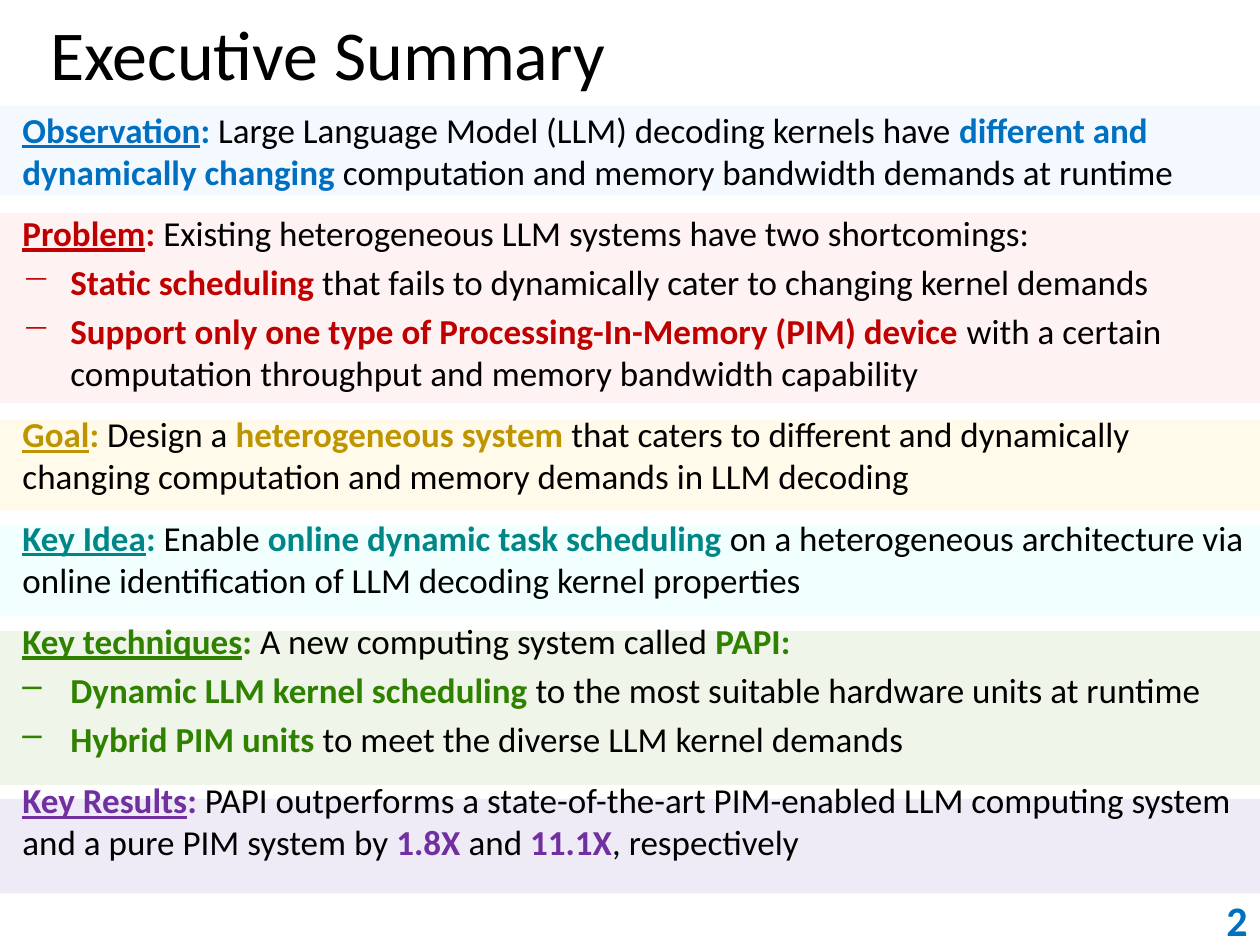
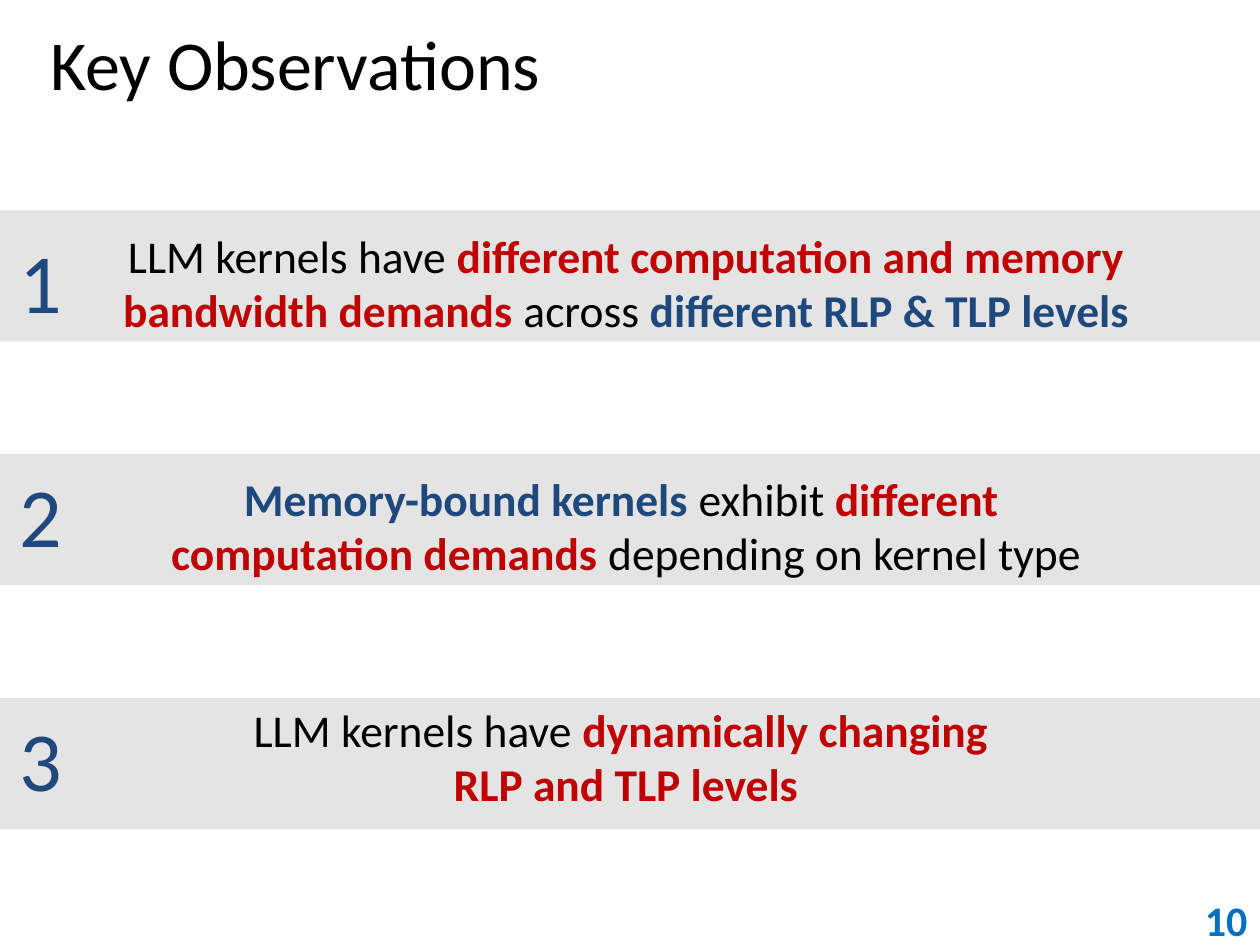
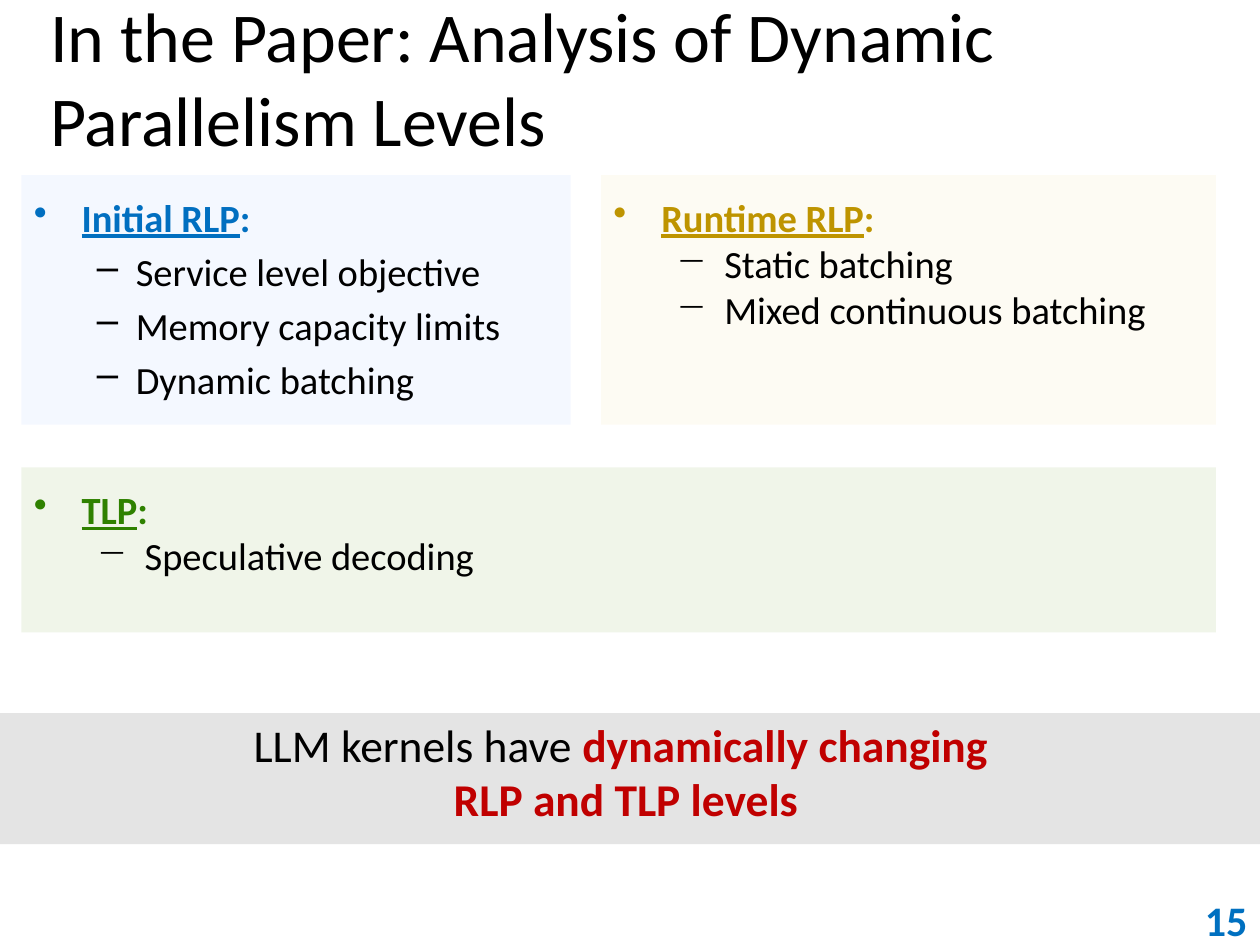
from dataclasses import dataclass
from typing import NamedTuple

from lxml.etree import SubElement
from pptx import Presentation
from pptx.dml.color import RGBColor
from pptx.enum.shapes import MSO_SHAPE as SHAPE
from pptx.enum.text import MSO_ANCHOR as ANCHOR, MSO_AUTO_SIZE as AUTO, PP_ALIGN as ALIGN
from pptx.oxml.ns import qn
from pptx.util import Inches, Pt

W, H = Inches(10), Inches(7.5)
COLS, ROWS = 100, 75
FONT = "Calibri"

BLACK = RGBColor(0x00, 0x00, 0x00)
BLUE = RGBColor(0x01, 0x6F, 0xC0)
PAGE_BLUE = RGBColor(0x00, 0x70, 0xC0)
NAVY = RGBColor(0x1F, 0x49, 0x7D)
RED = RGBColor(0xC0, 0x00, 0x00)
GOLD = RGBColor(0xBE, 0x94, 0x00)
TEAL = RGBColor(0x00, 0x86, 0x86)
GREEN = RGBColor(0x2F, 0x81, 0x00)
PURPLE = RGBColor(0x70, 0x30, 0xA0)
GREY_BAND = RGBColor(0xE4, 0xE4, 0xE4)
BLUE_TINT = RGBColor(0xCC, 0xDF, 0xFF)
RED_TINT = RGBColor(0xFF, 0xBF, 0xBF)
GOLD_TINT = RGBColor(0xFF, 0xE9, 0x98)
CREAM_TINT = RGBColor(0xF9, 0xED, 0xC7)
TEAL_TINT = RGBColor(0xBD, 0xFF, 0xFF)
GREEN_TINT = RGBColor(0xB8, 0xCF, 0x92)
PURPLE_TINT = RGBColor(0xAF, 0x9C, 0xD3)


class Box(NamedTuple):
    col: float
    row: float
    cols: float
    rows: float

    def emu(self) -> tuple:
        return (int(W * self.col / COLS), int(H * self.row / ROWS),
                int(W * self.cols / COLS), int(H * self.rows / ROWS))


class Run(NamedTuple):
    text: str
    color: RGBColor = BLACK
    bold: bool = False
    underline: bool = False


@dataclass
class Para:
    runs: list
    before: float = 0
    bullet: str = ""
    margin: float = 0
    hang: float = 0
    level: int = 0


class Band(NamedTuple):
    row: float
    rows: float
    tint: RGBColor


class Card(NamedTuple):
    box: Box
    tint: RGBColor
    color: RGBColor
    heading: str
    items: list
    bullet: str = "−"
    before: float = 0
    margin: float = 0.88
    hang: float = 0.38


class Statement(NamedTuple):
    text_shift: float
    number_shift: float
    paras: list


def key(text: str, color: RGBColor) -> Run:
    return Run(text, color, bold=True)


def heading(label: str, color: RGBColor, tail: str = ": ") -> list:
    return [Run(label, color, True, True), key(tail, color)]


def section(label: str, color: RGBColor, *runs: Run, before: float = 11) -> Para:
    return Para(heading(label, color) + list(runs), before)


def dash(bullet: str, *runs: Run) -> Para:
    return Para(list(runs), 4, bullet, 0.38, 0.38)


def fill_text(sp, paras: list, size: float, align=ALIGN.LEFT, anchor=ANCHOR.TOP,
              left: float = 0.1, right: float = 0.1) -> None:
    tf = sp.text_frame
    tf.word_wrap, tf.auto_size, tf.vertical_anchor = True, AUTO.NONE, anchor
    tf.margin_left, tf.margin_right = Inches(left), Inches(right)
    tf.margin_top = tf.margin_bottom = Inches(0.05)
    for i, para in enumerate(paras):
        p = tf.add_paragraph() if i else tf.paragraphs[0]
        p.alignment, p.level = align, para.level
        p.space_before = Pt(para.before if i else 0)
        if para.bullet:
            pPr = p._p.get_or_add_pPr()
            pPr.set("marL", str(Inches(para.margin)))
            pPr.set("indent", str(-Inches(para.hang)))
            color = SubElement(pPr, qn("a:buClr"))
            SubElement(color, qn("a:srgbClr")).set("val", str(para.runs[0].color))
            SubElement(pPr, qn("a:buChar")).set("char", para.bullet)
        for run in para.runs:
            r = p.add_run()
            r.text = run.text
            font = r.font
            font.name, font.size, font.bold = FONT, Pt(size), run.bold
            font.underline = run.underline
            font.color.rgb = run.color


def add_text(shapes, box: Box, paras: list, **fmt) -> None:
    fill_text(shapes.add_textbox(*box.emu()), paras, **fmt)


def add_rect(shapes, box: Box, color: RGBColor, opacity: int = 100) -> None:
    sp = shapes.add_shape(SHAPE.RECTANGLE, *box.emu())
    sp.shadow.inherit = False
    sp.line.fill.background()
    sp.fill.solid()
    sp.fill.fore_color.rgb = color
    if opacity < 100:
        clr = sp._element.spPr.find(qn("a:solidFill"))[0]
        SubElement(clr, qn("a:alpha")).set("val", str(opacity * 1000))


def add_slide(prs, title: str, page: int, title_box: Box):
    s = prs.slides.add_slide(prs.slide_layouts[5])
    sp = s.shapes.title
    sp.left, sp.top, sp.width, sp.height = title_box.emu()
    fill_text(sp, [Para([Run(title)])], 40, anchor=ANCHOR.MIDDLE, left=0.4)
    add_text(s.shapes, Box(80, 71, 20, 4), [Para([key(str(page), PAGE_BLUE)])],
             size=24, align=ALIGN.RIGHT, anchor=ANCHOR.MIDDLE)
    return s


def add_statement(s, row: float, statement: Statement, number: str = "") -> None:
    shapes = s.shapes.add_group_shape().shapes
    add_rect(shapes, Box(0, row, 100, 10.4), GREY_BAND)
    if number:
        add_text(shapes, Box(0.6, row + statement.number_shift, 5.2, 9.1),
                 [Para([Run(number, NAVY)])], size=48, anchor=ANCHOR.MIDDLE)
    add_text(shapes, Box(2.6, row + statement.text_shift, 94.2, 9.8),
             statement.paras, size=26, align=ALIGN.CENTER)


def add_card(s, card: Card) -> None:
    add_rect(s.shapes, card.box, card.tint, 20)
    paras = [Para(heading(card.heading, card.color, ":"), 0, "•", 0.38, 0.38)]
    paras += [Para([Run(item)], card.before, card.bullet, card.margin, card.hang, 1)
              for item in card.items]
    add_text(s.shapes, card.box._replace(row=card.box.row + 1), paras, size=22)


SUMMARY_BANDS = [
    Band(8.4, 7.1, BLUE_TINT), Band(16.9, 15.1, RED_TINT), Band(33.3, 7.2, GOLD_TINT),
    Band(41.7, 7.2, TEAL_TINT), Band(50.1, 12.2, GREEN_TINT), Band(63.4, 7.5, PURPLE_TINT),
]

SUMMARY = [
    section("Observation", BLUE,
            Run("Large Language Model (LLM) decoding kernels have "),
            key("different and ", PAGE_BLUE), key("dynamically changing ", BLUE),
            Run("computation and memory bandwidth demands at runtime"), before=0),
    section("Problem", RED,
            Run("Existing heterogeneous LLM systems have two shortcomings:")),
    dash("−", key("Static scheduling ", RED),
         Run("that fails to dynamically cater to changing kernel demands")),
    dash("−", key("Support only one type of Processing-In-Memory (PIM) device ", RED),
         Run("with a certain computation throughput and memory bandwidth capability")),
    section("Goal", GOLD, Run("Design a "), key("heterogeneous system ", GOLD),
            Run("that caters to different and dynamically changing computation "
                "and memory demands in LLM decoding")),
    section("Key Idea", TEAL, Run("Enable "), key("online dynamic task scheduling ", TEAL),
            Run("on a heterogeneous architecture via online identification "
                "of LLM decoding kernel properties")),
    section("Key techniques", GREEN, Run("A new computing system called "),
            key("PAPI:", GREEN)),
    dash("–", key("Dynamic LLM kernel scheduling", GREEN),
         Run(" to the most suitable hardware units at runtime")),
    dash("–", key("Hybrid PIM units ", GREEN),
         Run("to meet the diverse LLM kernel demands")),
    section("Key Results", PURPLE,
            Run("PAPI outperforms a state-of-the-art PIM-enabled LLM computing system "
                "and a pure PIM system by "),
            key("1.8X ", PURPLE), Run("and "), key("11.1X", PURPLE),
            Run(", respectively")),
]

DEMANDS = Statement(0.9, 1, [
    Para([Run("LLM kernels have "),
          key("different computation and memory bandwidth demands ", RED),
          Run("across "), key("different RLP & TLP levels", NAVY)])])
MEMORY_BOUND = Statement(0.8, 0.2, [
    Para([key("Memory-bound kernels ", NAVY), Run("exhibit "), key("different ", RED)]),
    Para([key("computation demands ", RED), Run("depending on kernel type")])])
DYNAMIC_LEVELS = Statement(-0.2, 0.2, [
    Para([Run("LLM kernels have "), key("dynamically changing ", RED)]),
    Para([key("RLP and TLP levels", RED)])])

CARDS = [
    Card(Box(1.7, 13.9, 43.6, 19.8), BLUE_TINT, BLUE, "Initial RLP",
         ["Service level objective", "Memory capacity limits", "Dynamic batching"],
         "–", 4.4, 0.81, 0.31),
    Card(Box(47.7, 13.9, 48.8, 19.8), CREAM_TINT, GOLD, "Runtime RLP",
         ["Static batching", "Mixed continuous batching"]),
    Card(Box(1.7, 37.1, 94.8, 13.1), GREEN_TINT, GREEN, "TLP", ["Speculative decoding"]),
]


def build_summary(prs) -> None:
    s = add_slide(prs, "Executive Summary", 2, Box(0, -0.8, 100, 10))
    for band in SUMMARY_BANDS:
        add_rect(s.shapes, Box(0, band.row, COLS, band.rows), band.tint, 20)
    add_text(s.shapes, Box(0.8, 8.1, 99.2, 65.8), SUMMARY, size=20, right=0)


def build_observations(prs) -> None:
    s = add_slide(prs, "Key Observations", 10, Box(0, 0, 100, 10))
    first_row, pitch = 16.7, 19.35
    for i, statement in enumerate([DEMANDS, MEMORY_BOUND, DYNAMIC_LEVELS]):
        add_statement(s, first_row + i * pitch, statement, str(i + 1))


def build_parallelism(prs) -> None:
    s = add_slide(prs, "In the Paper: Analysis of Dynamic Parallelism Levels", 15,
                  Box(0, 1.1, 100, 10))
    for card in CARDS:
        add_card(s, card)
    add_statement(s, 56.6, DYNAMIC_LEVELS)


def main() -> None:
    prs = Presentation()
    prs.slide_width, prs.slide_height = W, H
    build_summary(prs)
    build_observations(prs)
    build_parallelism(prs)
    prs.save("out.pptx")


if __name__ == "__main__":
    main()
